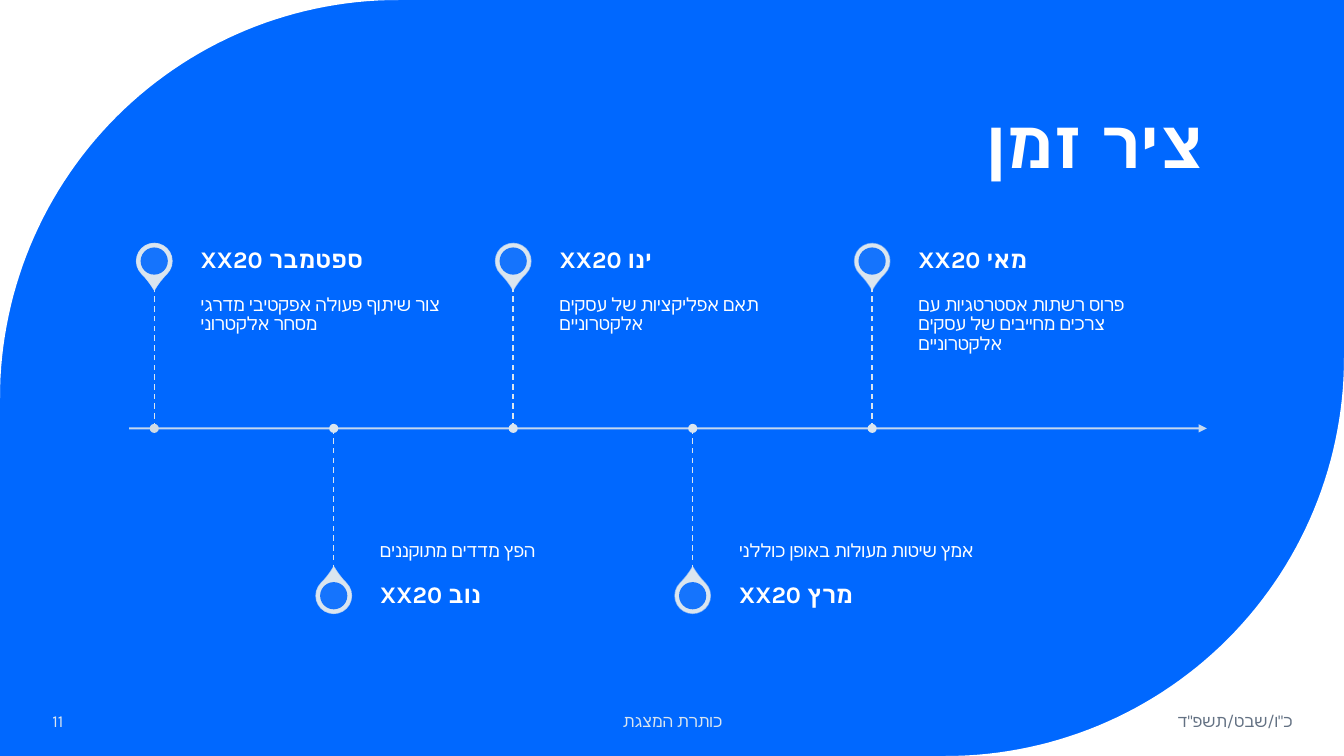
"""Build a right-to-left timeline slide with five milestones."""
import math
from dataclasses import dataclass

import pptx
import pptx.dml.color
import pptx.enum.dml
import pptx.enum.shapes
import pptx.enum.text
import pptx.oxml
import pptx.oxml.ns
import pptx.util
from pptx.util import Inches

ALIGN = pptx.enum.text.PP_ALIGN
ANCHOR = pptx.enum.text.MSO_ANCHOR
SHAPE = pptx.enum.shapes.MSO_SHAPE
NS = pptx.oxml.ns.nsdecls("a")

TITLE = "ציר זמן"
MILESTONES = [
    ("ספטמבר XX20", "צור שיתוף פעולה אפקטיבי מדרגי מסחר אלקטרוני"),
    ("נוב XX20", "הפץ מדדים מתוקננים"),
    ("ינו XX20", "תאם אפליקציות של עסקים אלקטרוניים"),
    ("מרץ XX20", "אמץ שיטות מעולות באופן כוללני"),
    ("מאי XX20", "פרוס רשתות אסטרטגיות עם צרכים מחייבים של עסקים אלקטרוניים"),
]


@dataclass(frozen=True)
class Theme:
    """Colours, font and type sizes."""
    blue: str = "0068FF"
    white: str = "FFFFFF"
    pale: str = "DAE5EF"
    first_dot: str = "D0DBE4"
    grey: str = "637183"
    font: str = "Karla"
    title: int = 48
    heading: int = 17
    body: int = 13
    footer: int = 12


T = Theme()
FOOTERS = [
    ('כ"ו/שבט/תשפ"ד', 11.06, 1.86, ALIGN.RIGHT, T.grey),
    ("כותרת המצגת", 4.42, 4.5, ALIGN.CENTER, T.pale),
    ("11", 0.42, 1.81, ALIGN.LEFT, T.pale),
]
WIDTH, HEIGHT = 13.33, 7.5
RADIUS = 3.95
AXIS_Y, AXIS_LEFT, AXIS_RIGHT = 4.25, 1.28, 11.97
FIRST_X, STEP = 1.53, 1.78
STEM, PIN_OFFSET = 1.41, 1.66
PIN, HOLE, DOT = 0.35, 0.27, 0.09
TEXT_GAP, TEXT_W, HEADING_H = 0.46, 2.53, 0.5


def rgb(value):
    """Turn a hex string into a colour."""
    return pptx.dml.color.RGBColor.from_string(value)


def set_alpha(fill, percent):
    """Give a solid fill an opacity."""
    fill.fore_color._xFill[0].append(
        pptx.oxml.parse_xml(f'<a:alpha {NS} val="{percent * 1000}"/>'))


def write(sp, text, size, color, align=ALIGN.LEFT, bold=False,
          anchor=ANCHOR.MIDDLE, insets=(0.1, 0.05, 0.1, 0.05), spacing=None):
    """Write one right-to-left paragraph into a shape."""
    tf = sp.text_frame
    tf.word_wrap = True
    tf.auto_size = pptx.enum.text.MSO_AUTO_SIZE.NONE
    tf.vertical_anchor = anchor
    tf.margin_left, tf.margin_top, tf.margin_right, tf.margin_bottom = map(Inches, insets)
    p = tf.paragraphs[0]
    p.text = text
    p.alignment = align
    p._p.get_or_add_pPr().set("rtl", "1")
    if spacing:
        p.line_spacing = spacing
    font = p.font
    font.name, font.size, font.bold = T.font, pptx.util.Pt(size), bold
    font.color.rgb = rgb(color)
    font._rPr.append(pptx.oxml.parse_xml(f'<a:cs {NS} typeface="{T.font}"/>'))


def text_box(s, x, y, w, h, *args, **kwargs):
    """Add a text box."""
    sp = s.shapes.add_textbox(Inches(x), Inches(y), Inches(w), Inches(h))
    write(sp, *args, **kwargs)


def line(s, x1, y1, x2, y2, width):
    """Add a pale straight line without shadow."""
    sp = s.shapes.add_connector(pptx.enum.shapes.MSO_CONNECTOR.STRAIGHT,
                                Inches(x1), Inches(y1), Inches(x2), Inches(y2))
    sp.line.color.rgb = rgb(T.pale)
    sp.line.width = pptx.util.Pt(width)
    sp._element.spPr.append(pptx.oxml.parse_xml(f"<a:effectLst {NS}/>"))
    return sp


def centred(s, kind, x, y, size, color):
    """Add a filled square-framed shape around a centre."""
    sp = s.shapes.add_shape(kind, Inches(x - size / 2), Inches(y - size / 2),
                            Inches(size), Inches(size))
    sp.shadow.inherit = False
    sp.fill.solid()
    sp.fill.fore_color.rgb = rgb(color)
    sp.line.fill.background()
    return sp


def corner(s, x, y, cx, cy, start):
    """Fill the area between a slide corner and a quarter circle."""
    angles = [math.radians(start + 1.5 * i) for i in range(61)]
    points = [(Inches(cx + RADIUS * math.cos(a)), Inches(cy + RADIUS * math.sin(a)))
              for a in angles]
    builder = s.shapes.build_freeform(Inches(x), Inches(y))
    builder.add_line_segments(points, close=True)
    sp = builder.convert_to_shape()
    sp.shadow.inherit = False
    sp.fill.solid()
    sp.fill.fore_color.rgb = rgb(T.white)
    sp.line.fill.background()


def milestone(s, i, heading, detail):
    """Draw one milestone, above the axis when its index is even."""
    above = i % 2 == 0
    side = -1 if above else 1
    x = FIRST_X + STEP * i
    pin_y = AXIS_Y + side * PIN_OFFSET
    pin = centred(s, SHAPE.TEAR, x, pin_y, PIN, T.pale)
    pin.rotation = 135 if above else 315
    pin.adjustments[0] = 1.15
    pin.line.color.rgb = rgb(T.pale)
    pin.line.width = pptx.util.Pt(1)
    set_alpha(pin.line.fill, 90 - 10 * i)
    hole = centred(s, SHAPE.OVAL, x, pin_y, HOLE, T.blue)
    set_alpha(hole.fill, 90)
    text_box(s, x + TEXT_GAP, AXIS_Y - STEM if above else AXIS_Y, TEXT_W, STEM,
             detail, T.body, T.white, spacing=0.9,
             anchor=ANCHOR.TOP if above else ANCHOR.BOTTOM,
             insets=(0, 0.09, 0.09, 0.14) if above else (0, 0.14, 0, 0.09))
    text_box(s, x + TEXT_GAP, pin_y - HEADING_H / 2, TEXT_W, HEADING_H,
             heading, T.heading, T.white, bold=True, spacing=0.9, insets=(0, 0, 0.12, 0))
    stem = line(s, x, AXIS_Y, x, AXIS_Y + side * STEM, 1)
    stem.line.dash_style = pptx.enum.dml.MSO_LINE.DASH
    centred(s, SHAPE.OVAL, x, AXIS_Y, DOT, T.pale if i else T.first_dot)


def main():
    """Build and save the slide."""
    prs = pptx.Presentation()
    prs.slide_width, prs.slide_height = Inches(WIDTH), Inches(HEIGHT)
    s = prs.slides.add_slide(prs.slide_layouts[5])
    s.background.fill.solid()
    s.background.fill.fore_color.rgb = rgb(T.blue)
    corner(s, 0, 0, RADIUS, RADIUS, 180)
    corner(s, WIDTH, HEIGHT, WIDTH - RADIUS, HEIGHT - RADIUS, 0)

    title = s.shapes.title
    title.left, title.top = Inches(1.36), Inches(0.42)
    title.width, title.height = Inches(10.69), Inches(1.45)
    write(title, TITLE, T.title, T.white, ALIGN.RIGHT, True, ANCHOR.BOTTOM, spacing=0.9)

    axis = line(s, AXIS_LEFT, AXIS_Y, AXIS_RIGHT, AXIS_Y, 1.5)
    set_alpha(axis.line.fill, 90)
    axis.line._get_or_add_ln().append(
        pptx.oxml.parse_xml(f'<a:tailEnd {NS} type="triangle"/>'))
    for i, (heading, detail) in enumerate(MILESTONES):
        milestone(s, i, heading, detail)
    for text, x, w, align, color in FOOTERS:
        text_box(s, x, 6.95, w, 0.4, text, T.footer, color, align)
    prs.save("out.pptx")


if __name__ == "__main__":
    main()
